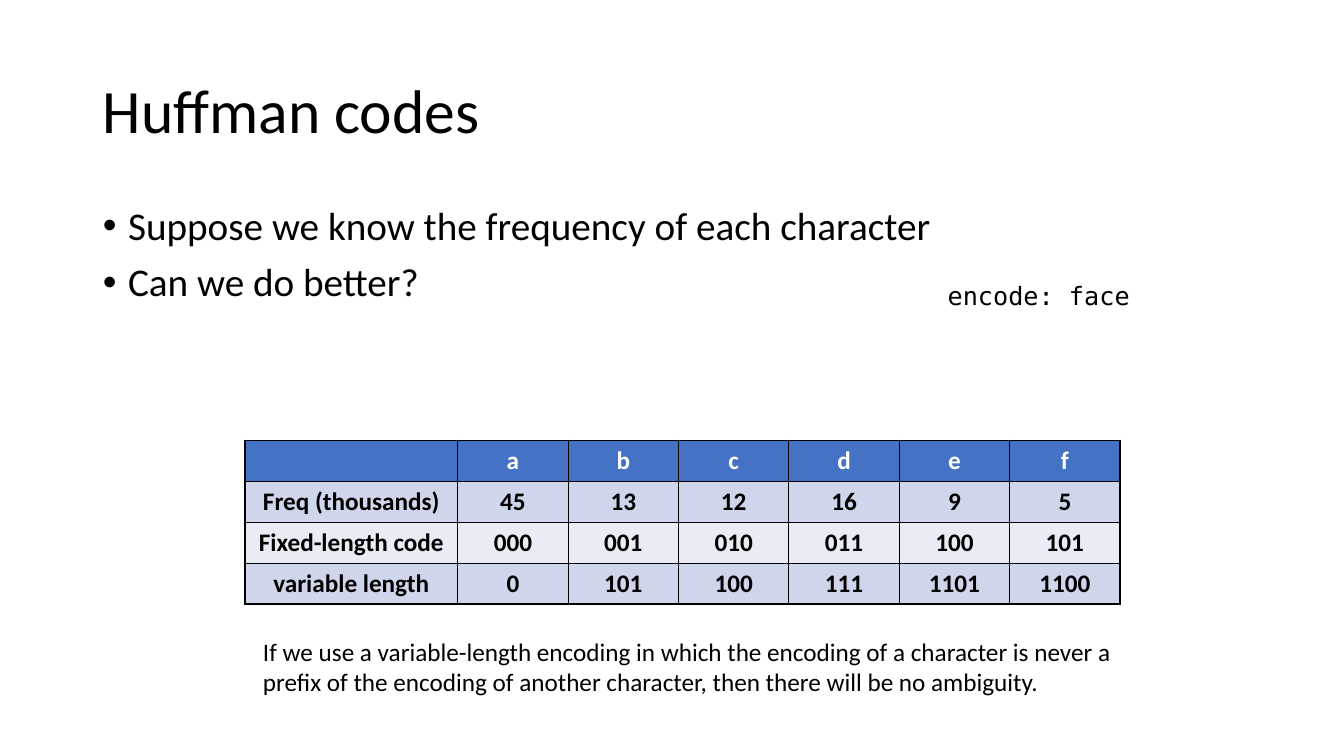
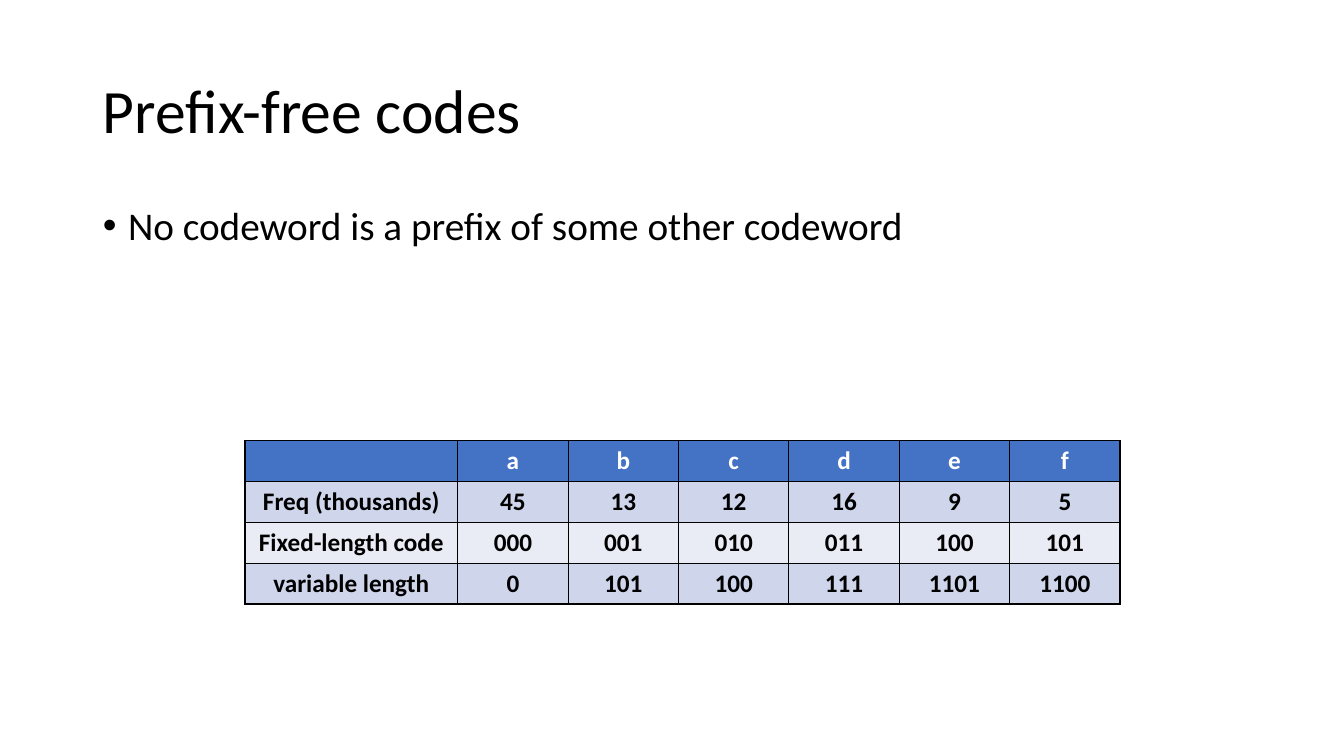
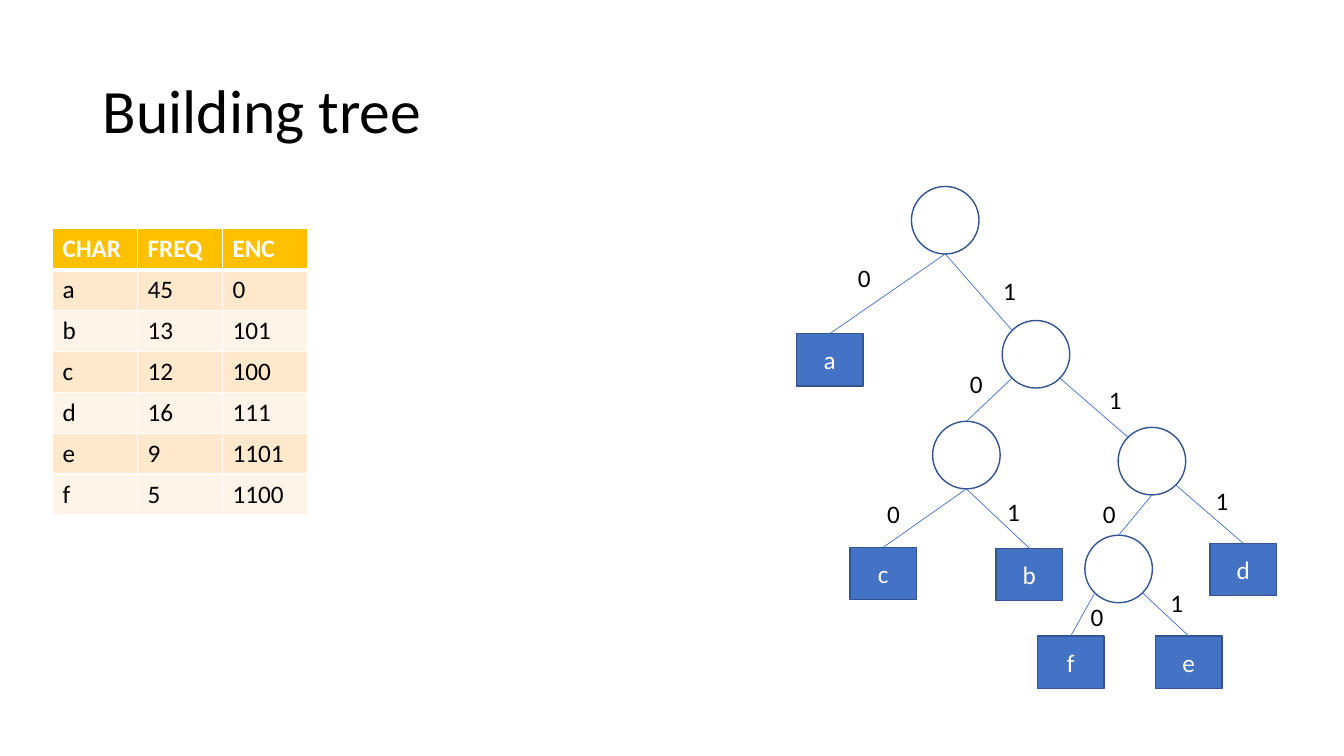
from dataclasses import dataclass

from lxml import etree
from pptx import Presentation
from pptx.dml.color import RGBColor
from pptx.enum.shapes import MSO_CONNECTOR, MSO_SHAPE
from pptx.enum.text import MSO_ANCHOR, PP_ALIGN
from pptx.oxml.ns import qn
from pptx.util import Inches, Pt

LEFT, CENTER = PP_ALIGN.LEFT, PP_ALIGN.CENTER
TOP, MIDDLE = MSO_ANCHOR.TOP, MSO_ANCHOR.MIDDLE
OVAL, RECTANGLE = MSO_SHAPE.OVAL, MSO_SHAPE.RECTANGLE
STRAIGHT = MSO_CONNECTOR.STRAIGHT
TITLE_AND_CONTENT, TITLE_ONLY = 1, 5


@dataclass(frozen=True)
class Theme:
    font: str = "Calibri"
    mono: str = "DejaVu Sans Mono"
    title_size: int = 44
    list_size: int = 28
    text_size: int = 18
    ink: str = "000000"
    paper: str = "FFFFFF"
    blue: str = "4472C4"
    outline: str = "325491"
    gold: str = "FFC000"
    blue_bands: tuple = ("CFD5EA", "E9EBF5")
    gold_bands: tuple = ("FFE8CC", "FFF4E7")


THEME = Theme()

# Character, frequency in thousands, variable-length code
CODES = [
    ("a", "45", "0"),
    ("b", "13", "101"),
    ("c", "12", "100"),
    ("d", "16", "111"),
    ("e", "9", "1101"),
    ("f", "5", "1100"),
]
CHARACTERS, FREQUENCIES, VARIABLE_CODES = zip(*CODES)
FIXED_CODES = [f"{rank:03b}" for rank in range(len(CODES))]

CODE_COMPARISON = [
    ["", *CHARACTERS],
    ["Freq (thousands)", *FREQUENCIES],
    ["Fixed-length code", *FIXED_CODES],
    ["variable length", *VARIABLE_CODES],
]
TREE_SUMMARY = [("CHAR", "FREQ", "ENC"), *CODES]
LEAVES = dict(zip(VARIABLE_CODES, CHARACTERS))

HUFFMAN_POINTS = ["Suppose we know the frequency of each character", "Can we do better?"]
PREFIX_POINTS = ["No codeword is a prefix of some other codeword"]
ENCODE_TASK = "encode: face"
AMBIGUITY_NOTE = (
    "If we use a variable-length encoding in which the encoding of a character is never a "
    "prefix of the encoding of another character, then there will be no ambiguity."
)

# Boxes are left, top, width, height in inches
SLIDE_SIZE = (13.33, 7.5)
TITLE_BOX = (0.92, 0.4, 11.5, 1.45)
LIST_BOX = (0.92, 2, 11.5, 4.76)
COMPARISON_BOX = (2.43, 4.37, 8.68, 1.62)
SUMMARY_BOX = (0.52, 2.27, 2.53, 2.84)
NODE_SIZE = (0.67, 0.67)
LEAF_SIZE = (0.66, 0.52)
BIT_SIZE = (0.66, 0.4)

# Points on a node's rim as shares of its width and height
RIM = {
    "top": (0.5, 0),
    "upper left": (0.15, 0.15),
    "lower left": (0.15, 0.85),
    "bottom": (0.5, 1),
    "lower right": (0.85, 0.85),
}
# Code prefix: node place, bit label place, branch start and end.
# The parent's prefix is one bit shorter; the last bit labels the branch.
TREE = {
    "": ((9.04, 1.85), None, None, None),
    "0": ((7.9, 3.31), (8.41, 2.55), "bottom", "top"),
    "1": ((9.94, 3.18), (9.85, 2.68), "bottom", "upper left"),
    "10": ((9.25, 4.18), (9.52, 3.61), "lower left", "top"),
    "11": ((11.09, 4.24), (10.9, 3.76), "lower right", "upper left"),
    "100": ((8.43, 5.43), (8.7, 4.89), "bottom", "top"),
    "101": ((9.88, 5.44), (9.89, 4.87), "bottom", "top"),
    "110": ((10.76, 5.31), (10.84, 4.89), "bottom", "top"),
    "111": ((12, 5.39), (11.96, 4.77), "lower right", "top"),
    "1100": ((10.29, 6.31), (10.72, 5.92), "lower left", "top"),
    "1101": ((11.46, 6.31), (11.51, 5.78), "lower right", "top"),
}


def rgb(colour):
    return RGBColor.from_string(colour)


def inches(lengths):
    return [Inches(length) for length in lengths]


def write(frame, lines, size=THEME.text_size, font=THEME.font, colour=THEME.ink, bold=False,
          align=LEFT, anchor=TOP, line_spacing=None, space_before=0, hanging=None):
    """Fill a text frame with one paragraph per line."""
    frame.word_wrap = True
    frame.vertical_anchor = anchor
    for index, line in enumerate(lines):
        paragraph = frame.add_paragraph() if index else frame.paragraphs[0]
        if hanging:
            properties = paragraph._p.get_or_add_pPr()
            properties.set("marL", str(Inches(hanging)))
            properties.set("indent", str(-Inches(hanging)))
        paragraph.alignment = align
        paragraph.line_spacing = line_spacing
        paragraph.space_before = Pt(space_before if index else 0)
        run = paragraph.add_run()
        run.text = line
        run.font.name = font
        run.font.size = Pt(size)
        run.font.bold = bold
        run.font.color.rgb = rgb(colour)


def place(shape, box):
    shape.left, shape.top, shape.width, shape.height = inches(box)


def add_slide(deck, title, points=()):
    layout = TITLE_AND_CONTENT if points else TITLE_ONLY
    slide = deck.slides.add_slide(deck.slide_layouts[layout])
    heading = slide.shapes.title
    place(heading, TITLE_BOX)
    write(heading.text_frame, [title], size=THEME.title_size, anchor=MIDDLE, line_spacing=0.9)
    if points:
        body = slide.placeholders[1]
        place(body, LIST_BOX)
        write(body.text_frame, points, size=THEME.list_size, line_spacing=0.9,
              space_before=10, hanging=0.25)
    return slide


def add_text(slide, box, text, **text_format):
    write(slide.shapes.add_textbox(*inches(box)).text_frame, [text], **text_format)


def set_borders(cell, colour, widths):
    """Draw the left, right, top and bottom borders in the given point widths."""
    properties = cell._tc.get_or_add_tcPr()
    for side, width in zip("LRTB", widths):
        border = etree.SubElement(properties, qn(f"a:ln{side}"), w=str(Pt(width)))
        fill = etree.SubElement(border, qn("a:solidFill"))
        etree.SubElement(fill, qn("a:srgbClr"), val=colour)


def add_table(slide, box, rows, header, bands, border, first_column=None, rule=1,
              bold=False, align=LEFT):
    """Add a banded table; rule is the width of the line under the header."""
    column_count = len(rows[0])
    table = slide.shapes.add_table(len(rows), column_count, *inches(box)).table
    width, height = box[2:]
    first = first_column or width / column_count
    others = (width - first) / (column_count - 1)
    for index, column in enumerate(table.columns):
        column.width = Inches(others if index else first)
    for row_index, values in enumerate(rows):
        is_header = row_index == 0
        table.rows[row_index].height = Inches(height / len(rows))
        for column_index, value in enumerate(values):
            cell = table.cell(row_index, column_index)
            set_borders(cell, border,
                        (1, 1, rule if row_index == 1 else 1, rule if is_header else 1))
            cell.fill.solid()
            cell.fill.fore_color.rgb = rgb(header if is_header else bands[(row_index - 1) % 2])
            if value:
                write(cell.text_frame, [value], bold=bold or is_header, align=align,
                      colour=THEME.paper if is_header else THEME.ink)


def add_comparison(slide):
    add_table(slide, COMPARISON_BOX, CODE_COMPARISON, THEME.blue, THEME.blue_bands, THEME.ink,
              first_column=2.11, bold=True, align=CENTER)


def add_node(slide, prefix, position):
    leaf = LEAVES.get(prefix)
    kind, size, fill = ((RECTANGLE, LEAF_SIZE, THEME.blue) if leaf
                        else (OVAL, NODE_SIZE, THEME.paper))
    node = slide.shapes.add_shape(kind, *inches(position + size))
    node.shadow.inherit = False
    node.fill.solid()
    node.fill.fore_color.rgb = rgb(fill)
    node.line.color.rgb = rgb(THEME.outline)
    node.line.width = Pt(1)
    if leaf:
        write(node.text_frame, [leaf], colour=THEME.paper, align=CENTER, anchor=MIDDLE)
    return node


def rim_point(node, site):
    across, down = RIM[site]
    return int(node.left + across * node.width), int(node.top + down * node.height)


def add_branch(slide, parent, child, start, end):
    branch = slide.shapes.add_connector(STRAIGHT, *rim_point(parent, start),
                                        *rim_point(child, end))
    if end == "top":
        branch.end_connect(child, 0)
    branch.line.color.rgb = rgb(THEME.blue)
    branch.line.width = Pt(0.5)
    etree.SubElement(branch._element.spPr, qn("a:effectLst"))


def add_tree(slide):
    nodes = {}
    for prefix, (position, bit_position, start, end) in TREE.items():
        nodes[prefix] = add_node(slide, prefix, position)
        if prefix:
            add_branch(slide, nodes[prefix[:-1]], nodes[prefix], start, end)
            add_text(slide, bit_position + BIT_SIZE, prefix[-1])


def main():
    deck = Presentation()
    deck.slide_width, deck.slide_height = inches(SLIDE_SIZE)

    huffman = add_slide(deck, "Huffman codes", HUFFMAN_POINTS)
    add_comparison(huffman)
    add_text(huffman, (9.3, 2.73, 2.18, 0.4), ENCODE_TASK, font=THEME.mono)
    add_text(huffman, (2.51, 6.26, 8.81, 0.71), AMBIGUITY_NOTE)

    add_comparison(add_slide(deck, "Prefix-free codes", PREFIX_POINTS))

    building = add_slide(deck, "Building tree")
    add_table(building, SUMMARY_BOX, TREE_SUMMARY, THEME.gold, THEME.gold_bands, THEME.paper,
              rule=3)
    add_tree(building)

    deck.save("out.pptx")


if __name__ == "__main__":
    main()
